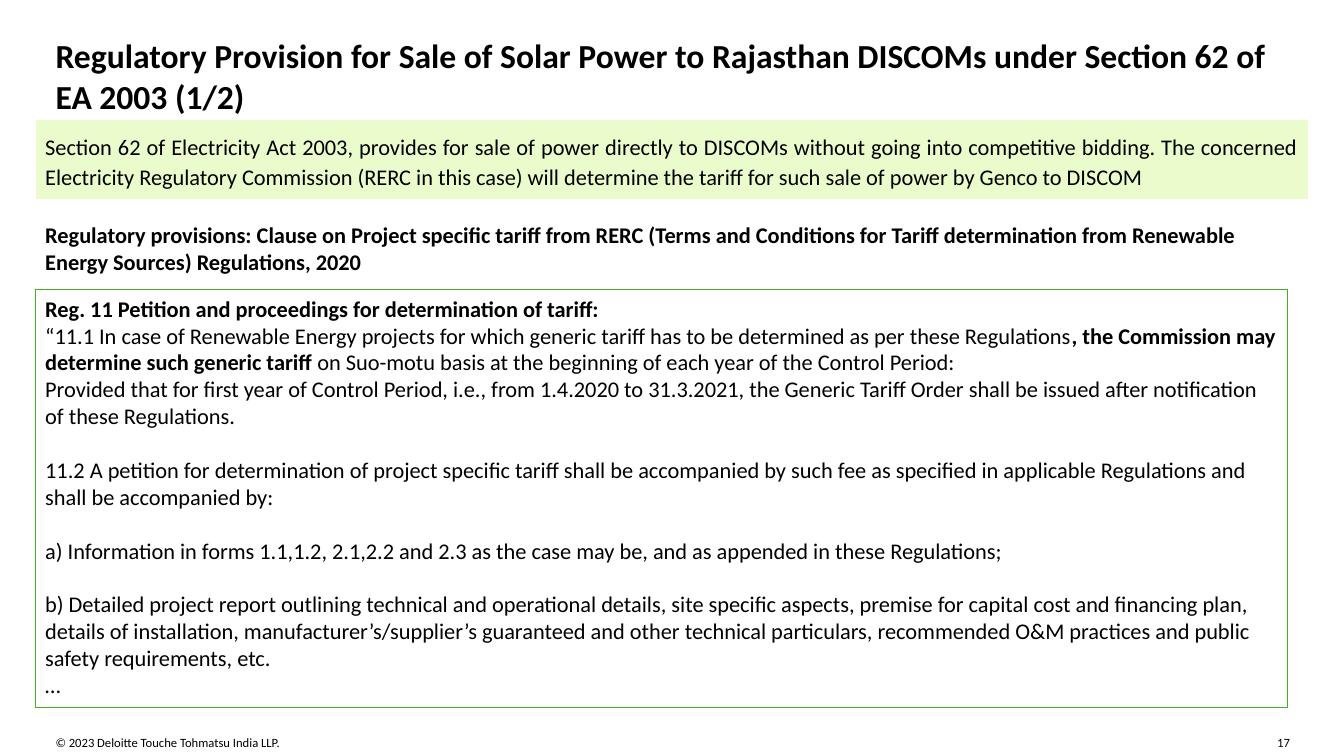
import pptx
import pptx.util
import pptx.dml.color
import pptx.enum.shapes
import pptx.enum.text
from pptx.util import Cm, Pt

COLORS = {"text": "000000", "band": "EBFCCC", "band_edge": "FFFFFF", "frame": "43B02A"}
ALIGN = pptx.enum.text.PP_ALIGN
BLANK_LINE = 19.2


def rgb(name):
    return pptx.dml.color.RGBColor.from_string(COLORS[name])


def write(shape, paragraphs, size, margins=(0, 0), align=ALIGN.LEFT, wrap=True):
    """Fill a shape; each paragraph is (space before, [(text, bold), ...])."""
    frame = shape.text_frame
    frame.word_wrap = wrap
    frame.auto_size = pptx.enum.text.MSO_AUTO_SIZE.NONE
    frame.vertical_anchor = pptx.enum.text.MSO_ANCHOR.TOP
    frame.margin_left = frame.margin_right = Cm(margins[0])
    frame.margin_top = frame.margin_bottom = Cm(margins[1])
    for index, (before, runs) in enumerate(paragraphs):
        paragraph = frame.add_paragraph() if index else frame.paragraphs[0]
        paragraph.alignment = align
        paragraph.space_before = Pt(before)
        for text, bold in runs:
            run = paragraph.add_run()
            run.text = text
            run.font.name = "Calibri"
            run.font.size = Pt(size)
            run.font.bold = bold
            run.font.color.rgb = rgb("text")


deck = pptx.Presentation()
deck.slide_width, deck.slide_height = Cm(33.87), Cm(19.05)
slide = deck.slides.add_slide(deck.slide_layouts[5])
shapes = slide.shapes
rectangle = pptx.enum.shapes.MSO_SHAPE.RECTANGLE

# Title
title = shapes.title
title.left, title.top, title.width, title.height = Cm(1.4), Cm(0.89), Cm(31.09), Cm(0.94)
write(title, [(0, [("Regulatory Provision for Sale of Solar Power to Rajasthan DISCOMs "
                    "under Section 62 of EA 2003 (1/2)", True)])], 24)

# Summary band
summary = shapes.add_shape(rectangle, Cm(0.89), Cm(3), Cm(32.08), Cm(2.03))
summary.shadow.inherit = False
summary.fill.solid()
summary.fill.fore_color.rgb = rgb("band")
summary.line.color.rgb = rgb("band_edge")
summary.line.width = Pt(0.75)
write(summary, [(0, [("Section 62 of Electricity Act 2003, provides for sale of power directly to "
                      "DISCOMs without going into competitive bidding. The concerned Electricity "
                      "Regulatory Commission (RERC in this case) will determine the tariff for such "
                      "sale of power by Genco to DISCOM", False)])],
      16, (0.25, 0.25), ALIGN.JUSTIFY)
summary.text_frame.paragraphs[0].line_spacing = 1.14

# Heading of the provisions
heading = shapes.add_textbox(Cm(0.89), Cm(5.44), Cm(32.08), Cm(1.63))
write(heading, [(0, [("Regulatory provisions: Clause on Project specific tariff from RERC (Terms and "
                      "Conditions for Tariff determination from Renewable Energy Sources) "
                      "Regulations, 2020", True)])], 16, (0.25, 0.13))

# Framed regulation text
regulation = shapes.add_shape(rectangle, Cm(0.89), Cm(7.3), Cm(31.57), Cm(10.52))
regulation.shadow.inherit = False
regulation.fill.background()
regulation.line.color.rgb = rgb("frame")
regulation.line.width = Pt(0.75)
write(regulation, [
    (0, [("Reg. 11 Petition and proceedings for determination of tariff:", True)]),
    (0, [("“11.1 In case of Renewable Energy projects for which generic tariff has to be "
          "determined as per these Regulations", False),
         (", the Commission may determine such generic tariff", True),
         (" on Suo-motu basis at the beginning of each year of the Control Period:", False)]),
    (0, [("Provided that for first year of Control Period, i.e., from 1.4.2020 to 31.3.2021, the "
          "Generic Tariff Order shall be issued after notification of these Regulations.", False)]),
    (BLANK_LINE, [("11.2 A petition for determination of project specific tariff shall be "
                   "accompanied by such fee as specified in applicable Regulations and shall be "
                   "accompanied by:", False)]),
    (BLANK_LINE, [("a) Information in forms 1.1,1.2, 2.1,2.2 and 2.3 as the case may be, and as "
                   "appended in these Regulations;", False)]),
    (BLANK_LINE, [("b) Detailed project report outlining technical and operational details, site "
                   "specific aspects, premise for capital cost and financing plan, details of "
                   "installation, manufacturer’s/supplier’s guaranteed and other technical "
                   "particulars, recommended O&M practices and public safety requirements, etc.",
                   False)]),
    (0, [("…", False)]),
], 16, (0.25, 0.13))

# Footer
copyright_line = shapes.add_textbox(Cm(1.4), Cm(18.52), Cm(14.88), Cm(0.38))
write(copyright_line, [(0, [("© 2023 Deloitte Touche Tohmatsu India LLP.", False)])], 9)
page_number = shapes.add_textbox(Cm(32.13), Cm(18.52), Cm(0.38), Cm(0.38))
write(page_number, [(0, [("17", False)])], 9, align=ALIGN.RIGHT, wrap=False)

deck.save("out.pptx")
